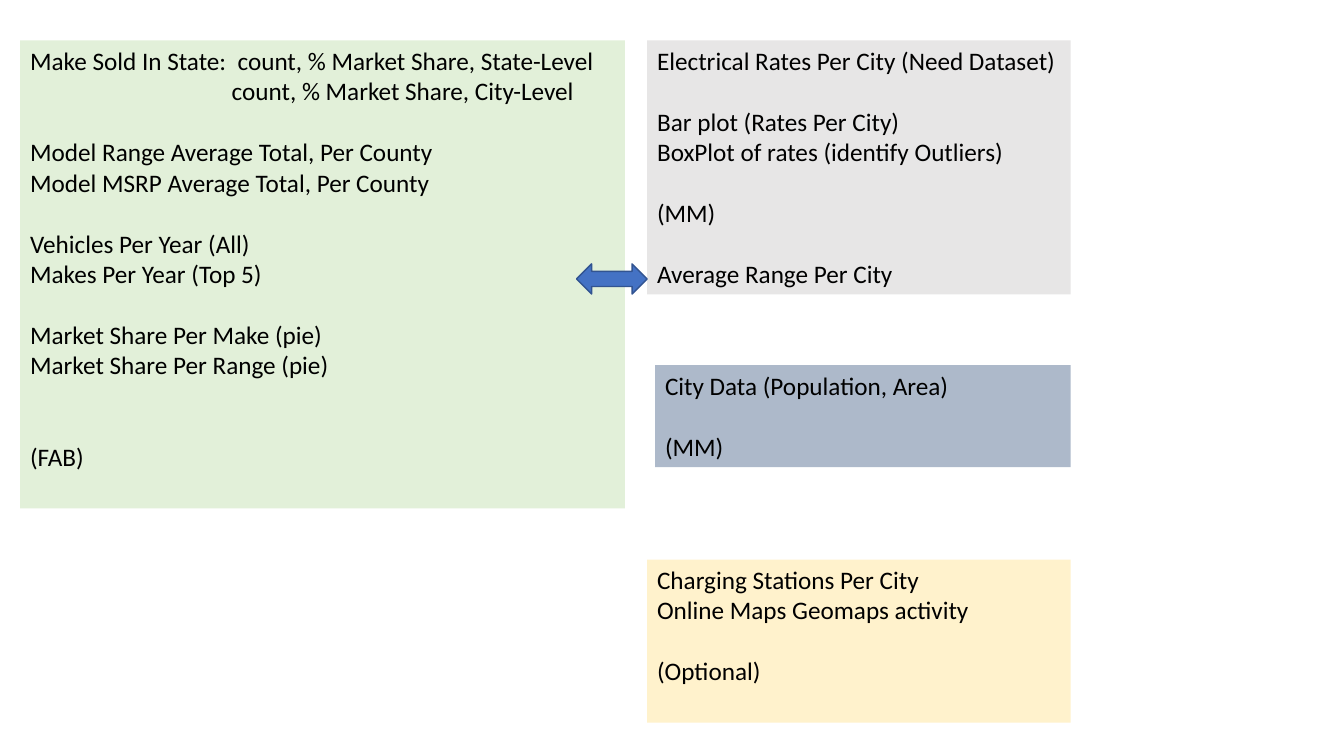
"""Build a slide that maps the planned vehicle, rate, city and charging analyses."""
from pptx import Presentation
from pptx.dml.color import RGBColor as Rgb
from pptx.enum.shapes import MSO_SHAPE as Shape
from pptx.enum.text import MSO_ANCHOR as Anchor, PP_ALIGN as Align
from pptx.util import Cm, Pt

COLORS = {
    "vehicles": "E2F0D9",
    "rates": "E7E6E6",
    "charging": "FFF2CC",
    "city": "ADB9CA",
    "arrow": "4472C4",
    "arrow_line": "325491",
    "text": "000000",
}
FONT = {"name": "Calibri", "size": Pt(18)}
FRAME = {"word_wrap": True, "vertical_anchor": Anchor.TOP}
LINE_HEIGHT = Pt(22)
RIGHT_EDGE = 26.98
COLUMN_LEFT = 16.31
TOP = 1.02

VEHICLES = [
    ["Make Sold In State:  count, % Market Share, State-Level",
     "\tcount, % Market Share, City-Level"],
    ["Model Range Average Total, Per County",
     "Model MSRP Average Total, Per County"],
    ["Vehicles Per Year (All)", "Makes Per Year (Top 5)"],
    ["Market Share Per Make (pie)", "Market Share Per Range (pie)"],
    [],
    ["(FAB)"],
]
RATES = [
    ["Electrical Rates Per City (Need Dataset)"],
    ["Bar plot (Rates Per City)", "BoxPlot of rates (identify Outliers)"],
    ["(MM)"],
    ["Average Range Per City"],
]
CHARGING = [
    ["Charging Stations Per City", "Online Maps Geomaps activity"],
    ["(Optional)"],
]
CITY = [["City Data (Population, Area)"], ["(MM)"]]


def apply(target, values):
    for name, value in values.items():
        setattr(target, name, value)


class Board:
    def __init__(self, deck):
        self.slide = deck.slides.add_slide(deck.slide_layouts[6])

    def color(self, name):
        return Rgb.from_string(COLORS[name])

    def paint(self, shape, name):
        shape.fill.solid()
        shape.fill.fore_color.rgb = self.color(name)

    def note(self, name, left, top, width, height, groups):
        box = self.slide.shapes.add_textbox(Cm(left), Cm(top), Cm(width), Cm(height))
        self.paint(box, name)
        frame = box.text_frame
        apply(frame, FRAME)
        para = frame.paragraphs[0]
        gap = 0
        for group in groups:
            for line in group:
                if para.runs:
                    para = frame.add_paragraph()
                self.fill_line(para, line, gap)
                gap = 0
            gap += LINE_HEIGHT

    def fill_line(self, para, line, gap):
        apply(para, {"alignment": Align.LEFT, "space_before": gap})
        if line.startswith("\t"):
            properties = para._p.get_or_add_pPr()
            properties.set("marL", str(Cm(5.08)))
            properties.set("indent", "0")
        span = para.add_run()
        span.text = line.strip()
        apply(span.font, FONT)
        span.font.color.rgb = self.color("text")

    def double_arrow(self, left, top, width, height):
        arrow = self.slide.shapes.add_shape(
            Shape.LEFT_RIGHT_ARROW, Cm(left), Cm(top), Cm(width), Cm(height))
        arrow.shadow.inherit = False
        self.paint(arrow, "arrow")
        arrow.line.color.rgb = self.color("arrow_line")
        arrow.line.width = Pt(1)


def main():
    deck = Presentation()
    apply(deck, {"slide_width": Cm(33.87), "slide_height": Cm(19.05)})
    board = Board(deck)
    column_width = RIGHT_EDGE - COLUMN_LEFT
    board.note("vehicles", 0.51, TOP, 15.24, 11.79, VEHICLES)
    board.note("rates", COLUMN_LEFT, TOP, column_width, 6.4, RATES)
    board.note("charging", COLUMN_LEFT, 14.1, column_width, 4.11, CHARGING)
    board.double_arrow(14.53, 6.65, 1.78, 0.76)
    board.note("city", 16.51, 9.2, RIGHT_EDGE - 16.51, 2.57, CITY)
    deck.save("out.pptx")


if __name__ == "__main__":
    main()
